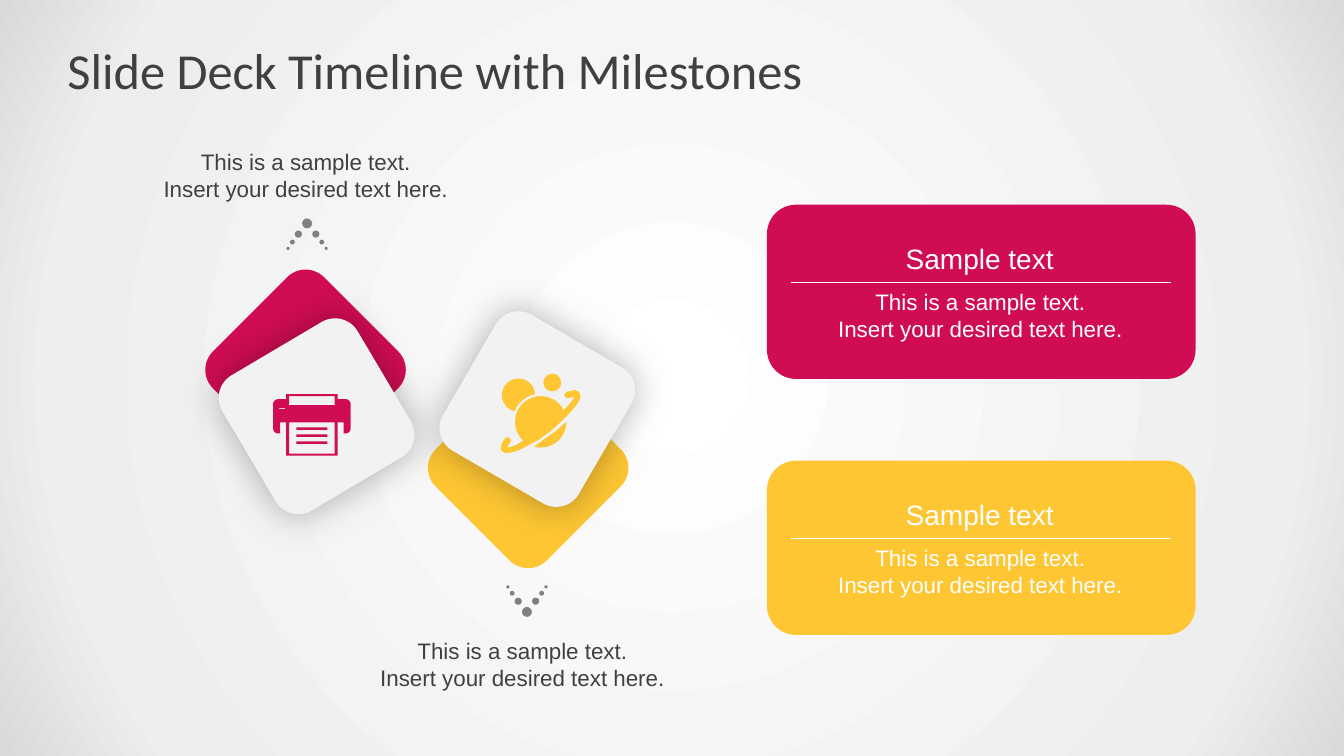
import math

import lxml.etree
import pptx
import pptx.dml.color
import pptx.enum.shapes
import pptx.enum.text
import pptx.oxml
import pptx.oxml.ns
import pptx.util

Cm = pptx.util.Cm
Pt = pptx.util.Pt
RGBColor = pptx.dml.color.RGBColor
SHAPE = pptx.enum.shapes.MSO_SHAPE
ALIGN = pptx.enum.text.PP_ALIGN
ANCHOR = pptx.enum.text.MSO_ANCHOR
qn = pptx.oxml.ns.qn

PINK = RGBColor(0xD0, 0x0C, 0x54)
YELLOW = RGBColor(0xFE, 0xC6, 0x33)
TILE = RGBColor(0xF2, 0xF2, 0xF2)
GREY = RGBColor(0x80, 0x80, 0x80)
DARK = RGBColor(0x40, 0x40, 0x40)
WHITE = RGBColor(0xFF, 0xFF, 0xFF)

SAMPLE = ["This is a sample text.", "Insert your desired text here."]
BODY = {"size": Pt(16), "name": "Arial"}
HEADING = {"size": Pt(20), "name": "Arial"}
TITLE = {"size": Pt(36), "name": "Calibri"}
NO_INSET = {"margin_left": 0, "margin_right": 0, "vertical_anchor": ANCHOR.MIDDLE}

TILE_SIDE = 3.96
ICON_UNIT = 0.0254
CHEVRON = [(0.25, 0, 0), (0.18, 0.22, 0.27), (0.12, 0.37, 0.47), (0.08, 0.48, 0.63)]

BACKGROUND = (
    '<a:gradFill xmlns:a="http://schemas.openxmlformats.org/drawingml/2006/main" rotWithShape="1">'
    '<a:gsLst><a:gs pos="0"><a:srgbClr val="FFFFFF"/></a:gs>'
    '<a:gs pos="81000"><a:srgbClr val="EEEEEE"/></a:gs>'
    '<a:gs pos="100000"><a:srgbClr val="D9D9D9"/></a:gs></a:gsLst>'
    '<a:path path="circle"><a:fillToRect l="50000" t="50000" r="50000" b="50000"/></a:path>'
    '</a:gradFill>'
)


def arc(cx, cy, radius, start, end, steps=24):
    angles = [math.radians(start + (end - start) * i / steps) for i in range(steps + 1)]
    return [(cx + radius * math.cos(a), cy + radius * math.sin(a)) for a in angles]


def box(left, top, right, bottom):
    return [(left, top), (right, top), (right, bottom), (left, bottom)]


class Deck:
    def __init__(self):
        self.prs = pptx.Presentation()
        self.prs.slide_width, self.prs.slide_height = Cm(33.87), Cm(19.05)
        self.s = self.prs.slides.add_slide(self.prs.slide_layouts[6])

    def background(self, xml):
        self.s.background.fill.solid()
        bg = self.s._element.find(".//" + qn("p:bgPr"))
        bg.replace(bg[0], pptx.oxml.parse_xml(xml))

    def paint(self, sp, color):
        sp.fill.solid()
        sp.fill.fore_color.rgb = color
        sp.line.fill.background()
        sp.shadow.inherit = False
        return sp

    def shape(self, kind, left, top, width, height, color):
        sp = self.s.shapes.add_shape(kind, Cm(left), Cm(top), Cm(width), Cm(height))
        return self.paint(sp, color)

    def dot(self, cx, cy, size, color):
        self.shape(SHAPE.OVAL, cx - size / 2, cy - size / 2, size, size, color)

    def tile(self, cx, cy, angle, color, shadow=False):
        half = TILE_SIDE / 2
        sp = self.shape(SHAPE.ROUNDED_RECTANGLE, cx - half, cy - half, TILE_SIDE, TILE_SIDE, color)
        sp.rotation = angle
        if shadow:
            effects = sp._element.spPr.find(qn("a:effectLst"))
            outer = lxml.etree.SubElement(effects, qn("a:outerShdw"), blurRad=str(Pt(27)), algn="ctr")
            black = lxml.etree.SubElement(outer, qn("a:srgbClr"), val="000000")
            lxml.etree.SubElement(black, qn("a:alpha"), val="29000")

    def outline(self, contours, color):
        contours = [[(Cm(x * ICON_UNIT), Cm(y * ICON_UNIT)) for x, y in c] for c in contours]
        builder = self.s.shapes.build_freeform(*contours[0][0])
        for contour in contours:
            builder.move_to(*contour[0])
            builder.add_line_segments(contour[1:], close=True)
        self.paint(builder.convert_to_shape(), color)

    def text(self, lines, left, top, width, height, font, color, align=ALIGN.CENTER, wrap=True, frame=None):
        tf = self.s.shapes.add_textbox(Cm(left), Cm(top), Cm(width), Cm(height)).text_frame
        tf.word_wrap = wrap
        for name, value in (frame or {}).items():
            setattr(tf, name, value)
        for i, line in enumerate(lines):
            p = tf.paragraphs[0] if i == 0 else tf.add_paragraph()
            p.alignment = align
            r = p.add_run()
            r.text = line
            for name, value in font.items():
                setattr(r.font, name, value)
            r.font.color.rgb = color

    def sample(self, left, top, color):
        self.text(SAMPLE, left, top, 7.95, 1.63, BODY, color, wrap=False)

    def rule(self, left, top, length, color):
        line = self.s.shapes.add_connector(
            pptx.enum.shapes.MSO_CONNECTOR.STRAIGHT, Cm(left), Cm(top), Cm(left + length), Cm(top))
        line.line.color.rgb = color
        line.line.width = Pt(0.75)
        lxml.etree.SubElement(line._element.spPr, qn("a:effectLst"))

    def chevron(self, cx, cy, direction):
        for size, dx, dy in CHEVRON:
            for side in (-1, 1) if dx else (1,):
                self.dot(cx + side * dx, cy + direction * dy, size, GREY)

    def card(self, left, top, color):
        self.shape(SHAPE.ROUNDED_RECTANGLE, left, top, 10.8, 4.39, color)
        self.sample(left + 1.4, top + 1.98, WHITE)
        self.text(["Sample text"], left + 1.4, top + 0.79, 7.92, 1.12, HEADING, WHITE)
        self.rule(left + 0.61, top + 1.96, 9.58, WHITE)

    def printer(self, color):
        body = [(284, 391), (335, 391), (335, 396)]
        body += arc(343, 401, 5, -90, 0, 6) + arc(343, 425, 5, 0, 90, 6)
        body += [(341, 430), (341, 419), (335, 419), (335, 452), (284, 452), (284, 419), (278, 419), (278, 430)]
        body += arc(276, 425, 5, 90, 180, 6) + arc(276, 401, 5, 180, 270, 6) + [(284, 396)]
        tray, slot, paper = box(287, 393, 332, 402), box(277, 405, 283, 406), box(287, 419, 332, 450)
        lines = [box(294, y, 325, y + 2.5) for y in (424, 431, 438)]
        self.outline([body, tray, slot, paper, *lines], color)

    def planet(self, color):
        center = (536.5, 418.5)
        self.outline([arc(514.5, 392, 16.5, 109, 357) + arc(*center, 28, 259, 202)], color)
        self.dot(13.92, 9.64, 0.45, color)
        ring = [
            (570, 387), (573, 388), (575, 390), (576, 393), (575, 397), (571, 403), (564, 411),
            (556, 419), (546, 428), (535, 436), (524, 442), (514, 447), (507, 449), (502, 449.5),
            (499, 448.5), (497, 446), (497, 442), (499, 438), (502, 434), (504, 434), (506, 435),
            (507, 437), (506, 440), (504, 442), (503, 444), (508, 443), (513, 441)]
        ring += arc(*center, 25.5, 133, 333)
        ring += [(564, 402), (568, 397), (570, 394), (568, 394), (564, 395), (562, 395),
                 (560, 393), (560, 391), (562, 389), (566, 388)]
        self.outline([ring], color)
        self.outline([arc(*center, 25.5, 0, 105) + [(541, 435), (551, 428)]], color)


def main():
    deck = Deck()
    deck.background(BACKGROUND)
    deck.text(["Slide Deck Timeline with Milestones"], 1.7, 0.76, 30.48, 1.98,
              TITLE, DARK, ALIGN.LEFT, frame=NO_INSET)
    deck.tile(7.7, 9.32, 45, PINK)
    deck.tile(13.31, 11.79, 45, YELLOW)
    deck.tile(7.98, 10.49, 59.4, TILE, shadow=True)
    deck.tile(13.54, 10.31, 30.2, TILE, shadow=True)
    deck.printer(PINK)
    deck.planet(YELLOW)
    deck.chevron(7.74, 5.63, 1)
    deck.chevron(13.28, 15.42, -1)
    deck.sample(3.73, 3.61, DARK)
    deck.sample(9.19, 15.93, DARK)
    for i, color in enumerate((PINK, YELLOW)):
        deck.card(19.33, 5.16 + 6.45 * i, color)
    deck.prs.save("out.pptx")


if __name__ == "__main__":
    main()
